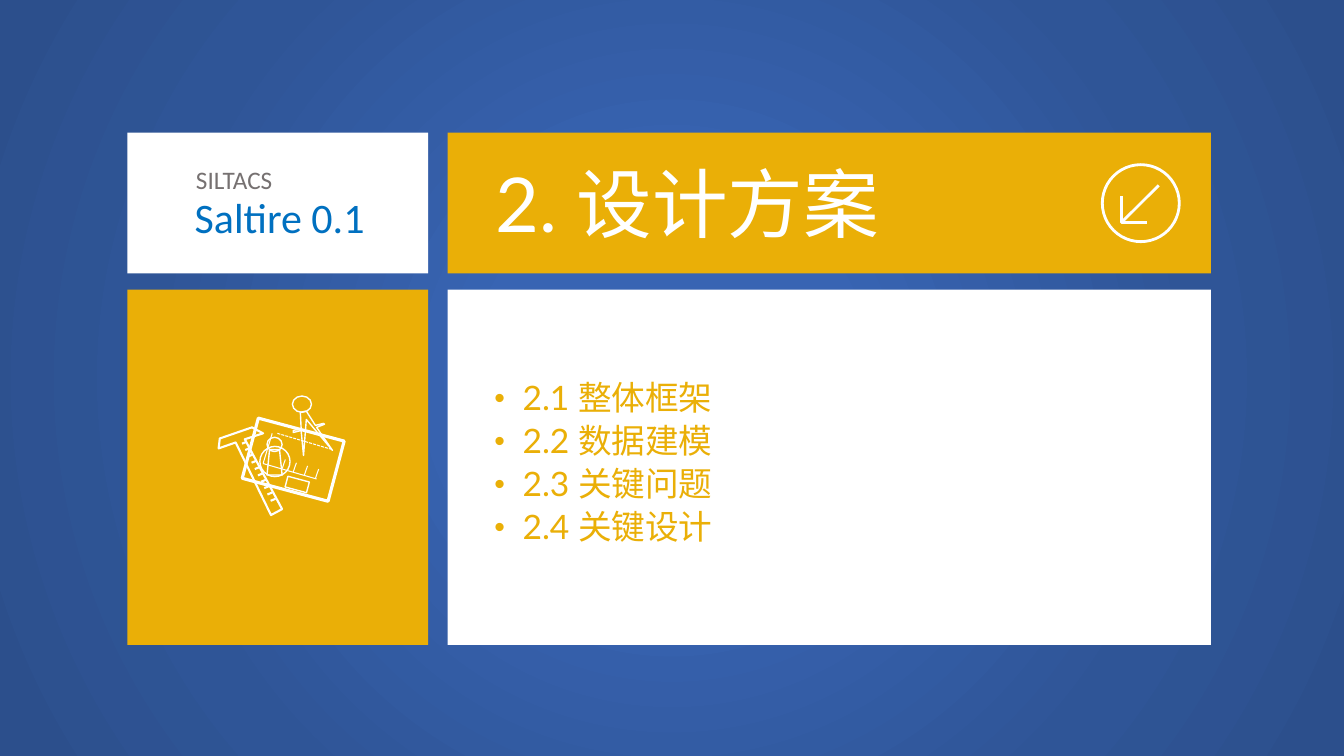
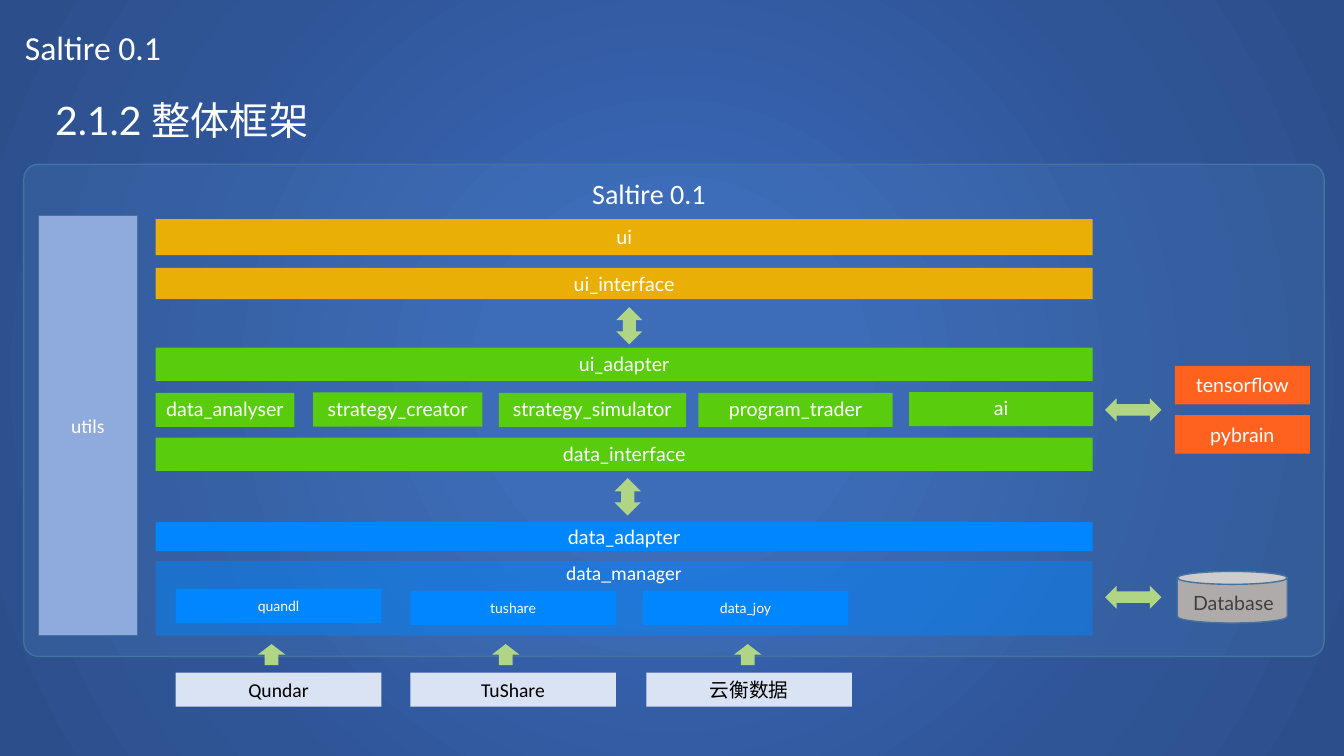
from lxml import etree
from pptx import Presentation
from pptx.dml.color import RGBColor
from pptx.enum.dml import MSO_LINE
from pptx.enum.shapes import MSO_CONNECTOR, MSO_SHAPE
from pptx.enum.text import MSO_ANCHOR, PP_ALIGN
from pptx.oxml import parse_xml
from pptx.oxml.ns import nsdecls, qn
from pptx.util import Cm, Pt

RECT, ROUNDED, OVAL = MSO_SHAPE.RECTANGLE, MSO_SHAPE.ROUNDED_RECTANGLE, MSO_SHAPE.OVAL
TRAPEZOID, CAN = MSO_SHAPE.TRAPEZOID, MSO_SHAPE.CAN
UP, UP_DOWN, LEFT_RIGHT = MSO_SHAPE.UP_ARROW, MSO_SHAPE.UP_DOWN_ARROW, MSO_SHAPE.LEFT_RIGHT_ARROW
STRAIGHT, SHORT_DASH = MSO_CONNECTOR.STRAIGHT, MSO_LINE.SQUARE_DOT
LEFT, CENTER = PP_ALIGN.LEFT, PP_ALIGN.CENTER
TOP, MIDDLE = MSO_ANCHOR.TOP, MSO_ANCHOR.MIDDLE

WHITE = RGBColor(0xFF, 0xFF, 0xFF)
BLACK = RGBColor(0, 0, 0)
GOLD = RGBColor(0xEA, 0xAF, 0x07)
GREEN = RGBColor(0x59, 0xCC, 0x0E)
BLUE = RGBColor(0x00, 0x87, 0xFF)
ORANGE = RGBColor(0xFF, 0x62, 0x1E)
LIME = RGBColor(0xB0, 0xD6, 0x85)
PALE = RGBColor(0xDA, 0xE3, 0xF3)
PERIWINKLE = RGBColor(0x8F, 0xAA, 0xDC)
SKY = RGBColor(0x5B, 0x9B, 0xD5)
EDGE = RGBColor(0x43, 0x73, 0x9E)
SILVER = RGBColor(0xAF, 0xAB, 0xAB)
CHARCOAL = RGBColor(0x40, 0x40, 0x40)
GRAY = RGBColor(0x76, 0x71, 0x71)
PRODUCT_BLUE = RGBColor(0x00, 0x70, 0xC0)
BACKDROP = [(0, "3864B3"), (23, "3864B3"), (69, "2F5597"), (97, "2C4F8C")]

WIDTH, HEIGHT = 33.87, 19.05
LATO, CALIBRI = "Lato", "Calibri"
PRODUCT = "Saltire 0.1"
TIGHT = (0.2, 0.1)
NORMAL = (0.25, 0.13)


def write_text(frame, text, size=14, font=LATO, color=WHITE, align=LEFT,
               anchor=TOP, inset=NORMAL, bullet=False):
    """Fill a text frame, one paragraph a line, with one format."""
    frame.word_wrap = True
    frame.vertical_anchor = anchor
    frame.margin_left = frame.margin_right = Cm(inset[0])
    frame.margin_top = frame.margin_bottom = Cm(inset[1])
    for number, line in enumerate(text.split("\n")):
        para = frame.add_paragraph() if number else frame.paragraphs[0]
        para.alignment = align
        span = para.add_run()
        span.text = line
        span.font.size = Pt(size)
        span.font.name = font
        span.font.color.rgb = color
        if bullet:
            add_bullet(para, size)


def add_bullet(para, size):
    """Give a paragraph a hanging bullet and list spacing."""
    para.line_spacing = 0.9
    para.space_before = Pt(size * 0.2)
    properties = para._p.get_or_add_pPr()
    properties.set("marL", str(Cm(0.71)))
    properties.set("indent", str(-Cm(0.71)))
    for tag, name, value in (("a:buSzPct", "val", "90000"),
                             ("a:buFont", "typeface", "Arial"),
                             ("a:buChar", "char", "•")):
        etree.SubElement(properties, qn(tag)).set(name, value)


class Painter:
    """Holds the deck style and draws on the current page."""

    def __init__(self):
        """Start an empty widescreen deck."""
        self.deck = Presentation()
        self.deck.slide_width, self.deck.slide_height = Cm(WIDTH), Cm(HEIGHT)
        self.page = None

    def new_page(self):
        """Add a blank page with the glowing blue backdrop."""
        self.page = self.deck.slides.add_slide(self.deck.slide_layouts[6])
        box = self.shape(RECT, 0, 0, WIDTH, HEIGHT, fill=WHITE)
        stops = "".join(f'<a:gs pos="{place * 1000}"><a:srgbClr val="{color}"/></a:gs>'
                        for place, color in BACKDROP)
        gradient = parse_xml(
            f'<a:gradFill {nsdecls("a")} rotWithShape="1"><a:gsLst>{stops}</a:gsLst>'
            '<a:path path="circle"><a:fillToRect l="50000" t="50000" r="50000" b="50000"/>'
            '</a:path></a:gradFill>')
        properties = box.element.spPr
        properties.replace(properties.find(qn("a:solidFill")), gradient)

    def finish(self, shape, fill, line, weight):
        """Set fill and line of a shape and drop its shadow."""
        shape.shadow.inherit = False
        if fill is None:
            shape.fill.background()
        else:
            shape.fill.solid()
            shape.fill.fore_color.rgb = fill
        if line is None:
            shape.line.fill.background()
        else:
            shape.line.color.rgb = line
            shape.line.width = Pt(weight)
        return shape

    def shape(self, kind, left, top, width, height, fill=None, line=None, weight=1,
              turn=0, adjust=None, opacity=None):
        """Draw a preset shape."""
        shape = self.page.shapes.add_shape(kind, Cm(left), Cm(top), Cm(width), Cm(height))
        self.finish(shape, fill, line, weight)
        shape.rotation = turn
        if adjust is not None:
            shape.adjustments[0] = adjust
        if opacity is not None:
            color = shape.element.spPr.find(qn("a:solidFill"))[0]
            etree.SubElement(color, qn("a:alpha")).set("val", str(opacity * 1000))
        return shape

    def block(self, text, left, top, width, height, fill, line=None, **style):
        """Draw a rectangle with a centred label."""
        box = self.shape(RECT, left, top, width, height, fill, line)
        write_text(box.text_frame, text, **{"align": CENTER, "inset": TIGHT, **style})

    def text(self, text, left, top, width, height, **style):
        """Place a text box."""
        box = self.page.shapes.add_textbox(Cm(left), Cm(top), Cm(width), Cm(height))
        write_text(box.text_frame, text, **style)

    def line(self, start, end, weight, dash=None):
        """Draw a straight white line."""
        line = self.page.shapes.add_connector(STRAIGHT, *map(Cm, (*start, *end)))
        line.line.color.rgb = WHITE
        line.line.width = Pt(weight)
        if dash:
            line.line.dash_style = dash
        etree.SubElement(line.element.spPr, qn("a:effectLst"))

    def ticks(self, count, start, step, reach, weight):
        """Draw equally spaced parallel lines."""
        for number in range(count):
            x, y = (start[axis] + number * step[axis] for axis in (0, 1))
            self.line((x, y), (x + reach[0], y + reach[1]), weight)

    def outline(self, points, weight, close=True):
        """Draw a white unfilled outline through the points."""
        first, *rest = [(Cm(x), Cm(y)) for x, y in points]
        builder = self.page.shapes.build_freeform(*first)
        builder.add_line_segments(rest, close=close)
        self.finish(builder.convert_to_shape(), None, WHITE, weight)


def draw_arrow_badge(painter):
    """Draw the ring with an arrow to the lower left."""
    corner = (28.27, 5.6)
    painter.shape(OVAL, 27.78, 4.15, 1.94, 1.94, line=WHITE, weight=2)
    painter.outline([(28.27, 4.95), corner, (28.91, 5.6)], 2, close=False)
    painter.line(corner, (29.2, 4.67), 2)


def draw_drafting_icon(painter):
    """Draw the plan sheet with compass and T-square."""
    painter.shape(OVAL, 6.73, 11.02, 0.38, 0.36, line=WHITE)
    painter.shape(TRAPEZOID, 6.73, 11.33, 0.38, 0.64, line=WHITE, adjust=0.17)
    painter.shape(RECT, 6.27, 10.8, 2.24, 1.57, line=WHITE, weight=2.25, turn=15)
    painter.shape(OVAL, 6.55, 11.25, 0.76, 0.76, line=WHITE)
    painter.shape(RECT, 7.21, 12.07, 0.56, 0.28, line=WHITE, turn=15)
    origin = (6.63, 11.68)
    painter.line(origin, (7.98, 12.07), 0.75)
    painter.line(origin, (6.86, 10.92), 0.75)
    painter.ticks(4, (7.11, 11.81), (0.28, 0.08), (0.08, -0.23), 0.75)
    painter.line((6.99, 10.92), (8.38, 11.33), 0.75, dash=SHORT_DASH)
    compass = [(7.57, 10.39), (7.59, 10.8), (7.39, 10.85), (7.39, 10.9), (7.59, 10.85),
               (7.65, 11.48), (7.72, 10.57), (8.38, 11.35), (7.98, 10.77),
               (8.18, 10.69), (8.15, 10.67), (7.95, 10.72), (7.72, 10.36)]
    painter.shape(OVAL, 7.37, 9.98, 0.48, 0.41, line=WHITE)
    painter.outline(compass, 1)
    square = [(5.94, 11.15), (6.83, 12.98), (7.11, 12.83), (6.17, 11.07),
              (6.63, 10.92), (6.35, 10.77), (5.54, 11.05), (5.51, 11.3)]
    painter.outline(square, 1.5)
    painter.ticks(10, (6.22, 11.13), (0.08, 0.16), (-0.12, 0.05), 1.5)


def draw_section_page(painter):
    """Draw the section opener with its four panels."""
    painter.new_page()
    columns = ((3.21, 7.58), (11.28, 19.24))
    rows = ((3.34, 3.55), (7.3, 8.95))
    for row, (top, height) in enumerate(rows):
        for column, (left, width) in enumerate(columns):
            fill = WHITE if row == column else GOLD
            painter.shape(RECT, left, top, width, height, fill)
    draw_arrow_badge(painter)
    painter.text("2. 设计方案", 12.24, 3.83, 11.81, 2.57, size=54)
    painter.text("2.1 整体框架\n2.2 数据建模\n2.3 关键问题\n2.4 关键设计",
                 12.28, 9.44, 16.48, 4.7, size=24, color=GOLD,
                 inset=(0.18, 0.18), bullet=True)
    draw_drafting_icon(painter)
    painter.text(PRODUCT, 3.71, 4.7, 6.68, 1.55, size=30, font=CALIBRI,
                 color=PRODUCT_BLUE, align=CENTER)
    painter.text("SILTACS", 4.69, 4.01, 5.72, 1.02, size=18, font=CALIBRI, color=GRAY)


def draw_framework_page(painter):
    """Draw the layered architecture."""
    painter.new_page()
    painter.shape(ROUNDED, 0.6, 4.14, 32.77, 12.4, SKY, EDGE, adjust=0.03, opacity=15)
    painter.text(PRODUCT, 0.38, 0.56, 12.8, 1.27, size=24, font=CALIBRI)
    painter.text("2.1.2 整体框架", 1.14, 2.29, 29.9, 1.45, size=28)
    painter.text(PRODUCT, 12.42, 4.32, 7.87, 1.12, size=20, font=CALIBRI, align=CENTER)
    painter.block("utils", 0.97, 5.43, 2.49, 10.59, PERIWINKLE, EDGE,
                  font=CALIBRI, anchor=MIDDLE)

    layer_left, layer_width = 3.92, 23.62
    layers = [("ui", 5.52, 0.91, GOLD, MIDDLE), ("ui_interface", 6.75, 0.79, GOLD, MIDDLE),
              ("ui_adapter", 8.76, 0.84, GREEN, TOP),
              ("data_interface", 11.03, 0.84, GREEN, TOP),
              ("data_adapter", 13.15, 0.74, BLUE, MIDDLE)]
    for name, top, height, fill, anchor in layers:
        painter.block(name, layer_left, top, layer_width, height, fill, anchor=anchor)
    modules = [("data_analyser", 3.92, 9.9, 3.5), ("strategy_creator", 7.89, 9.89, 4.27),
               ("strategy_simulator", 12.57, 9.9, 4.72),
               ("program_trader", 17.6, 9.9, 4.9), ("ai", 22.91, 9.88, 4.64)]
    for name, left, top, width in modules:
        painter.block(name, left, top, width, 0.86, GREEN)

    painter.shape(RECT, layer_left, 14.14, layer_width, 1.88, BLUE, opacity=46)
    painter.text("data_manager", 11.79, 14, 7.87, 0.86, font=CALIBRI, align=CENTER)
    feeds = [("quandl", "Qundar", 4.43, 14.84, 4.43, 6.5),
             ("tushare", "TuShare", 10.34, 14.89, 10.34, 12.4),
             ("data_joy", "云衡数据", 16.2, 14.89, 16.29, 18.5)]
    for name, source, left, top, source_left, arrow_left in feeds:
        painter.block(name, left, top, 5.18, 0.86, BLUE, size=10, anchor=MIDDLE)
        painter.block(source, source_left, 16.95, 5.18, 0.86, PALE,
                      font=CALIBRI, color=BLACK, inset=NORMAL)
        painter.shape(UP, arrow_left, 16.23, 0.69, 0.53, LIME)

    for left, top in ((15.53, 7.74), (15.49, 12.05)):
        painter.shape(UP_DOWN, left, top, 0.66, 0.94, LIME)
    for top in (10.04, 14.76):
        painter.shape(LEFT_RIGHT, 27.85, top, 1.42, 0.58, LIME)
    for name, top in (("tensorflow", 9.22), ("pybrain", 10.46)):
        painter.block(name, 29.61, top, 3.4, 0.97, ORANGE, anchor=MIDDLE)
    painter.shape(CAN, 29.67, 14.4, 2.77, 1.3, SILVER, EDGE)
    painter.text("Database", 29.61, 14.75, 2.95, 0.86, color=CHARCOAL, align=CENTER)


def main():
    """Build both pages and save the deck."""
    painter = Painter()
    draw_section_page(painter)
    draw_framework_page(painter)
    painter.deck.save("out.pptx")


main()
